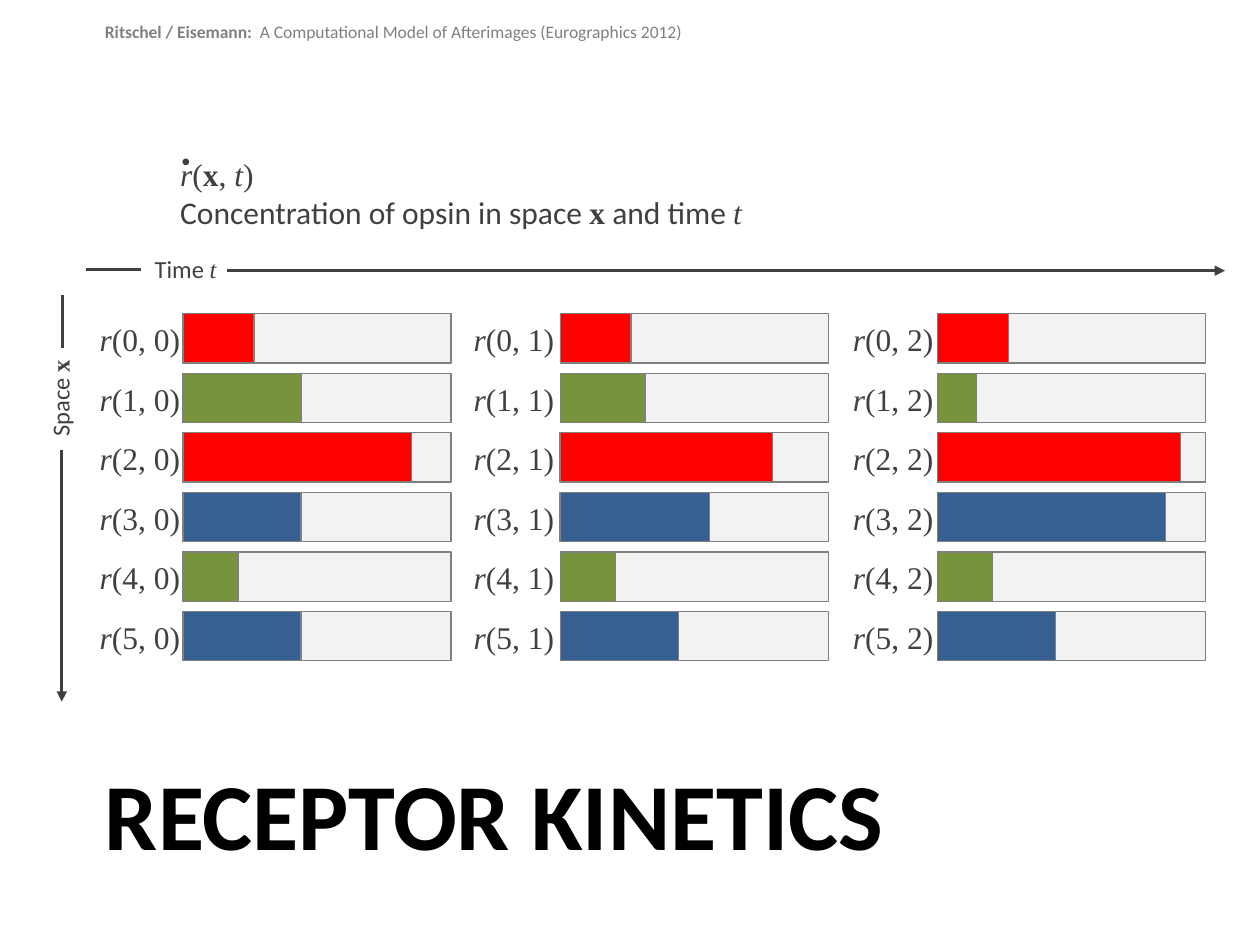
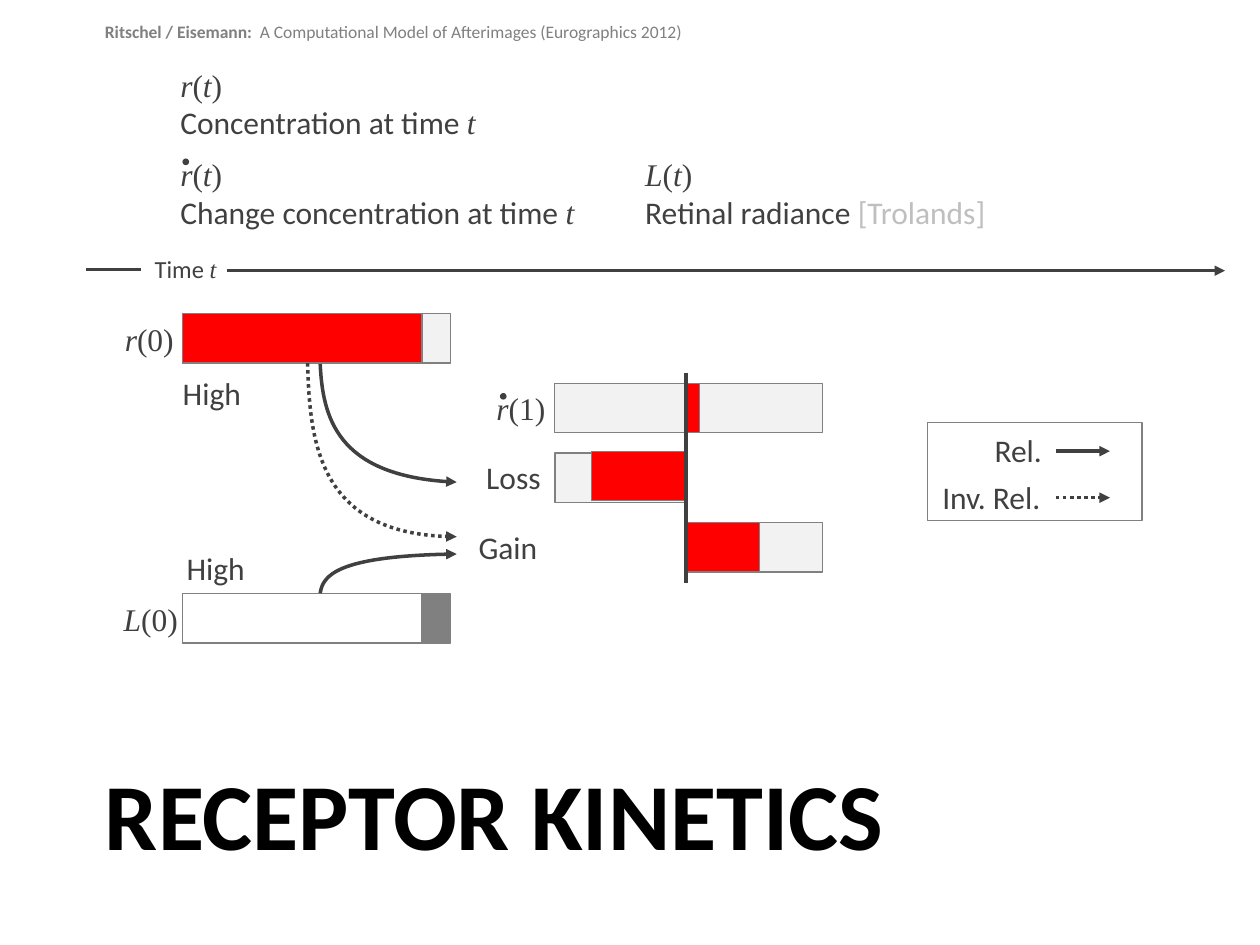
from lxml import etree
from pptx import Presentation
from pptx.dml.color import RGBColor as RGB
from pptx.enum.dml import MSO_LINE
from pptx.enum.shapes import MSO_CONNECTOR as CONN, MSO_SHAPE as SHAPE
from pptx.enum.text import PP_ALIGN as ALIGN
from pptx.oxml.ns import qn
from pptx.util import Pt

COLORS = {
    "ink": "404040", "title": "000000", "mid": "808080", "pale": "BFBFBF",
    "track": "F2F2F2", "white": "FFFFFF",
    "red": "FF0000", "green": "77933C", "blue": "376092",
}
SANS, SERIF = "Calibri", "Times New Roman"
STYLES = {
    "text": {"font": SANS},
    "strong": {"font": SANS, "bold": True},
    "unit": {"font": SANS, "color": "pale"},
    "math": {"font": SERIF},
    "var": {"font": SERIF, "italic": True},
    "vector": {"font": SERIF, "bold": True},
}

TITLE = "RECEPTOR KINETICS"
HEADER = [("Ritschel / Eisemann:  ", "strong"),
          ("A Computational Model of Afterimages (Eurographics 2012)", "text")]
TIME = [("Time ", "text"), ("t", "var")]
SPACE = [("Space ", "text"), ("x", "vector")]
BREAK = ("\n", "math")

OPSIN = [("r", "var"), ("(", "math"), ("x", "vector"), (", ", "math"), ("t", "var"),
         (")", "math"), BREAK, ("Concentration of opsin in space ", "text"),
         ("x", "vector"), (" and time ", "text"), ("t", "var")]
RECEPTOR_COLORS = ["red", "green", "red", "blue", "green", "blue"]
LEVELS = [
    [40.5, 67.5, 130.5, 67.5, 31.5, 67.5],
    [40.5, 48.5, 121.5, 85.5, 31.5, 67.5],
    [40.5, 22.5, 139, 130.5, 31.5, 67.5],
]
LABEL_LEFTS = [57, 270.7, 487.4]

BAR_LEFT, BAR_TOP, BAR_W, BAR_H = 104.6, 179.2, 153.2, 28.2
ROW_PITCH, COL_PITCH = 34.05, 215.5
NOTE_LEFT, NOTE_TOP = 103, 88.5

DEFINITIONS = [
    ("r", [("Concentration at time ", "text"), ("t", "var")], NOTE_LEFT, 37.5),
    ("r", [("Change concentration at time ", "text"), ("t", "var")], NOTE_LEFT, NOTE_TOP),
    ("L", [("Retinal radiance ", "text"), ("[Trolands]", "unit")], 368.7, NOTE_TOP),
]
SIGNALS = [("r", "(0)", 71.3, 183), ("r", "(1)", 283.7, 222.5), ("L", "(0)", 70.6, 343)]
WORDS = [("High", 104.4, 214), ("High", 106.6, 313.5)]
RIGHT_WORDS = [("Loss", 309, 262), ("Gain", 307, 302),
               ("Rel.", 595.4, 246.2), ("Inv. Rel.", 594.5, 273)]
BARS = [
    (104.4, 179.2, 153.2, "track"), (104.4, 179.2, 136.8, "red"),
    (316.8, 219, 153.2, "track"), (391.9, 219, 7.9, "red"),
    (317.2, 258.8, 74.2, "track"), (337.9, 257.8, 54, "red"),
    (391.9, 298.6, 78.1, "track"), (391.9, 298.6, 42, "red"),
    (104.4, 339.3, 153.2, "mid"), (104.4, 339.3, 136.8, "white"),
]
FLOWS = [
    ([(175.8, 207.5), (177, 252), (182, 306.7), (261, 306.7)], True),
    ([(183, 208), (184.4, 238.3), (193, 272.9), (261, 275.5)], False),
    ([(183, 339), (184.4, 329), (193, 317.5), (261, 316.6)], False),
]


def write(slide, runs, x, y, w=460, h=22, size=18, color="ink", align=ALIGN.LEFT, turn=0):
    sp = slide.shapes.add_textbox(Pt(x), Pt(y), Pt(w), Pt(h))
    sp.rotation = turn
    tf = sp.text_frame
    tf.word_wrap = True
    tf.margin_left = tf.margin_right = tf.margin_top = tf.margin_bottom = 0
    p = tf.paragraphs[0]
    p.alignment = align
    for text, name in runs:
        if text == "\n":
            p.add_line_break()
            continue
        style = STYLES[name]
        r = p.add_run()
        r.text = text
        r.font.name, r.font.size = style["font"], Pt(size)
        r.font.bold = style.get("bold", False)
        r.font.italic = style.get("italic", False)
        r.font.color.rgb = RGB.from_string(COLORS[style.get("color", color)])


def box(slide, x, y, w, h, fill=None, line="mid", kind=SHAPE.RECTANGLE):
    sp = slide.shapes.add_shape(kind, Pt(x), Pt(y), Pt(w), Pt(h))
    sp.shadow.inherit = False
    if fill:
        sp.fill.solid()
        sp.fill.fore_color.rgb = RGB.from_string(COLORS[fill])
    else:
        sp.fill.background()
    if line:
        sp.line.color.rgb = RGB.from_string(COLORS[line])
        sp.line.width = Pt(0.75)
    else:
        sp.line.fill.background()


def stroke(sp, width, arrow, dotted):
    sp.line.color.rgb = RGB.from_string(COLORS["ink"])
    sp.line.width = Pt(width)
    if dotted:
        sp.line.dash_style = MSO_LINE.ROUND_DOT
    if arrow:
        etree.SubElement(sp.line._get_or_add_ln(), qn("a:tailEnd"), type="triangle")


def line(slide, x1, y1, x2, y2, width=1.5, arrow=False, dotted=False):
    sp = slide.shapes.add_connector(CONN.STRAIGHT, Pt(x1), Pt(y1), Pt(x2), Pt(y2))
    stroke(sp, width, arrow, dotted)
    etree.SubElement(sp._element.spPr, qn("a:effectLst"))


def curve(slide, points, dotted):
    start, *rest = [(Pt(x), Pt(y)) for x, y in points]
    builder = slide.shapes.build_freeform(*start)
    builder.add_line_segments(rest, close=False)
    sp = builder.convert_to_shape()
    sp.shadow.inherit = False
    sp.fill.background()
    stroke(sp, 2, True, dotted)
    segments = list(sp._element.iter(qn("a:lnTo")))
    bezier = etree.SubElement(segments[0].getparent(), qn("a:cubicBezTo"))
    for segment in segments:
        bezier.append(segment[0])
        segment.getparent().remove(segment)


def dot(slide, x, y):
    box(slide, x, y, 3.8, 3.8, "ink", None, SHAPE.OVAL)


def base_slide(prs):
    slide = prs.slides.add_slide(prs.slide_layouts[6])
    write(slide, HEADER, 60, 12.2, w=618, size=10, color="mid")
    write(slide, [(TITLE, "strong")], 60, 432, w=618, h=100, size=54, color="title")
    write(slide, TIME, 88.4, 145.4, w=41, size=14)
    line(slide, 80.6, 154.2, 49, 154.2)
    line(slide, 129.8, 154.7, 700, 154.7, arrow=True)
    dot(slide, 104.3, 90.6)
    return slide


def concentration_slide(prs):
    slide = base_slide(prs)
    write(slide, OPSIN, NOTE_LEFT, NOTE_TOP, h=44)
    for col, (levels, label_left) in enumerate(zip(LEVELS, LABEL_LEFTS)):
        x = BAR_LEFT + col * COL_PITCH
        for row, (level, color) in enumerate(zip(levels, RECEPTOR_COLORS)):
            y = BAR_TOP + row * ROW_PITCH
            box(slide, x, y, BAR_W, BAR_H, "track")
            box(slide, x, y, level, BAR_H, color)
            label = [("r", "var"), (f"({row}, {col})", "math")]
            write(slide, label, label_left, y + 3.7, w=52)
    write(slide, SPACE, 12.2, 219.6, w=51.1, h=23.8, size=14, align=ALIGN.RIGHT, turn=270)
    line(slide, 35.7, 198.7, 35.7, 168.5)
    line(slide, 35.3, 257, 35.3, 401, arrow=True)


def change_slide(prs):
    slide = base_slide(prs)
    for symbol, meaning, x, y in DEFINITIONS:
        formula = [(symbol, "var"), ("(", "math"), ("t", "var"), (")", "math"), BREAK]
        write(slide, formula + meaning, x, y, w=300, h=44)
    for x, y, w, color in BARS:
        box(slide, x, y, w, BAR_H, color)
    for symbol, time, x, y in SIGNALS:
        write(slide, [(symbol, "var"), (time, "math")], x, y, w=40)
    dot(slide, 285.7, 224.6)
    for word, x, y in WORDS:
        write(slide, [(word, "text")], x, y, w=60)
    for points, dotted in FLOWS:
        curve(slide, points, dotted)
    box(slide, 530, 241.6, 122.6, 55.8)
    for y, dotted in [(257.8, False), (284.4, True)]:
        line(slide, 603.4, y, 634.3, y, width=2, arrow=True, dotted=dotted)
    for word, right, y in RIGHT_WORDS:
        write(slide, [(word, "text")], right - 80, y, w=80, align=ALIGN.RIGHT)
    line(slide, 392.1, 213, 392.1, 333, width=2)


def main():
    prs = Presentation()
    prs.slide_width, prs.slide_height = Pt(720), Pt(540)
    concentration_slide(prs)
    change_slide(prs)
    prs.save("out.pptx")


if __name__ == "__main__":
    main()
